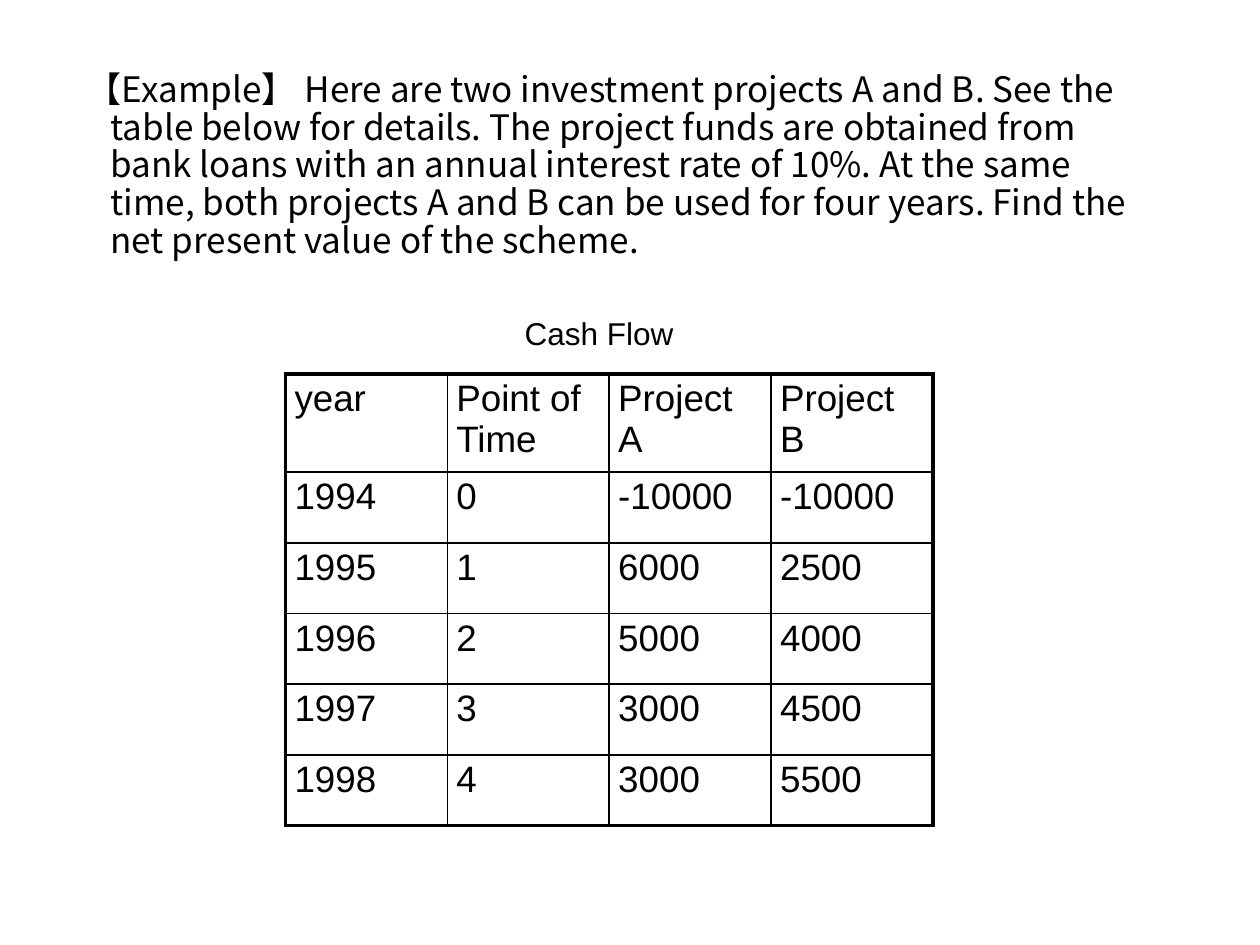
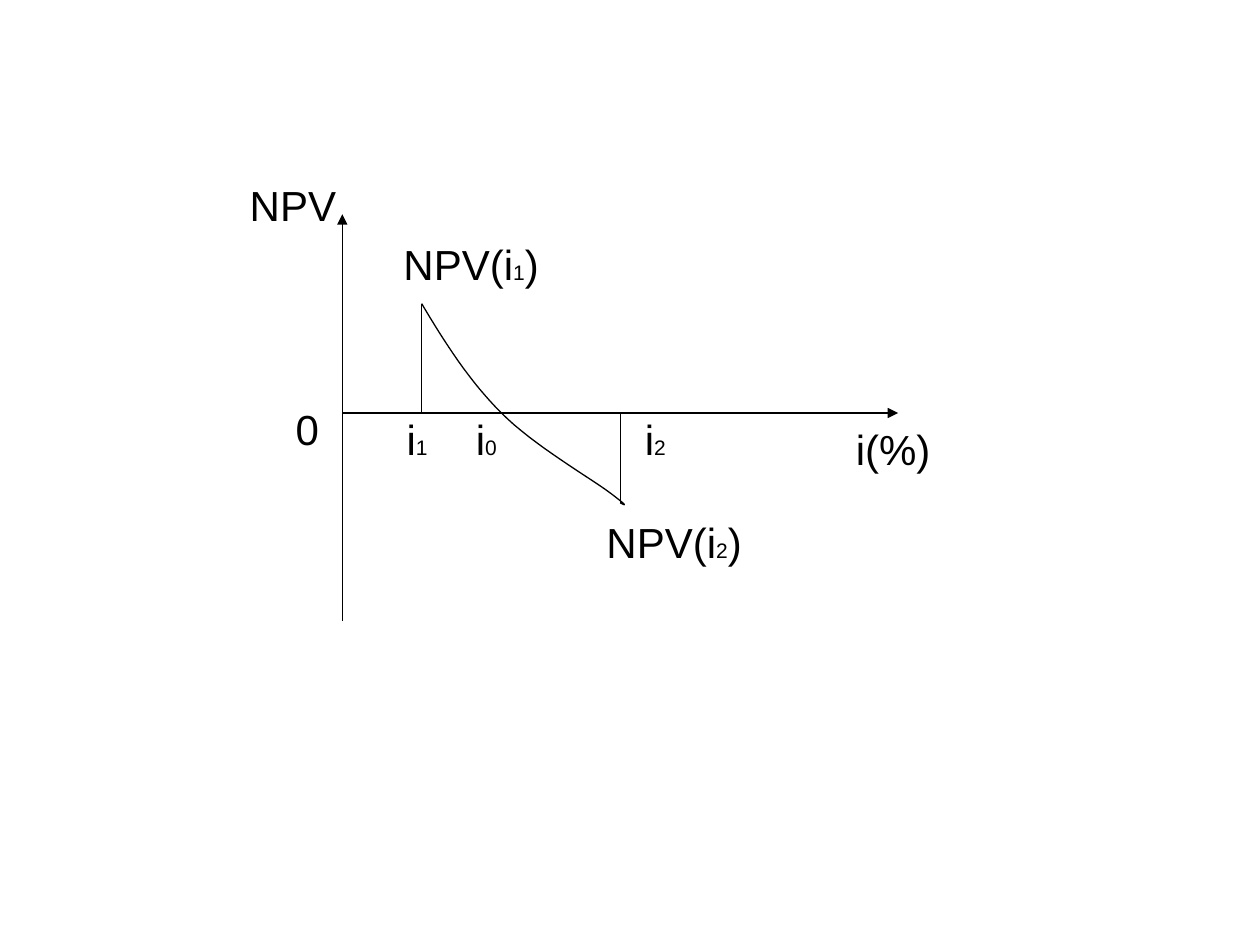
from lxml.etree import SubElement
from pptx import Presentation
from pptx.dml.color import RGBColor
from pptx.enum.shapes import MSO_CONNECTOR, MSO_SHAPE
from pptx.enum.text import MSO_ANCHOR, PP_ALIGN
from pptx.oxml.ns import qn
from pptx.util import Pt

INK = "000000"
SANS, BODY = "Arial", "Noto Sans CJK SC"

PROSE = (
    "【Example】 Here are two investment projects A and B. See the table below "
    "for details. The project funds are obtained from bank loans with an annual "
    "interest rate of 10%. At the same time, both projects A and B can be used "
    "for four years. Find the net present value of the scheme."
)
FLOWS = [
    ("year", "Point of Time", "Project A", "Project B"),
    ("1994", "0", "-10000", "-10000"),
    ("1995", "1", "6000", "2500"),
    ("1996", "2", "5000", "4000"),
    ("1997", "3", "3000", "4500"),
    ("1998", "4", "3000", "5500"),
]
HEAD, ROW, COL = 56, 40.4, 92.5

ZERO, BASE = 195.6, 236
LOW, HIGH = (241, 173.5), (354.4, 287.3)
AXES = [((ZERO, 355), (ZERO, 122.4)), ((ZERO, BASE), (513.2, BASE))]
DROPS = [(LOW, (LOW[0], BASE)), (HIGH, (HIGH[0], BASE))]
CURVE = [
    ((254.2, 195.8), (268.6, 218.2), (286.6, BASE)),
    ((304.6, 254.2), (337, 272.9), (348.5, 281.5)),
    ((360, 290.2), (357.1, 288.7), HIGH),
]
STEPS = 16
MARKS = [
    (("NPV",), (144.7, 105.8, 45.4, 22.3)),
    (("NPV(i", "1", ")"), (223.9, 139.7, 90.7, 22.3)),
    (("NPV(i", "2", ")"), (342.7, 298.1, 85, 22.3)),
    (("i", "1"), (229.7, 241.9, 17.3, 17.3)),
    (("i", "0"), (269.3, 241.9, 17.3, 17.3)),
    (("i", "2"), (365.8, 241.9, 17.3, 17.3)),
    (("i(%)",), (501.8, 247.7, 17.3, 17.3)),
    (("0",), (167, 236.2, 17.3, 17.3)),
]


def tint(color):
    return RGBColor.from_string(color)


def style(run, size, face=SANS):
    run.font.size = Pt(size)
    run.font.name = face
    run.font.color.rgb = tint(INK)
    props = run.font._element
    SubElement(props, qn("a:ea")).set("typeface", face)


def label(slide, parts, place, size):
    box = slide.shapes.add_shape(MSO_SHAPE.RECTANGLE, *map(Pt, place))
    box.shadow.inherit = False
    box.fill.background()
    box.line.fill.background()
    frame = box.text_frame
    frame.word_wrap = False
    frame.margin_left = frame.margin_right = 0
    frame.margin_top = frame.margin_bottom = 0
    frame.vertical_anchor = MSO_ANCHOR.MIDDLE
    para = frame.paragraphs[0]
    para.alignment = PP_ALIGN.CENTER
    for spot, part in enumerate(parts):
        run = para.add_run()
        run.text = part
        style(run, size / 2 if spot == 1 else size)


def prose(slide):
    box = slide.shapes.add_textbox(Pt(42.5), Pt(37.7), Pt(620.6), Pt(257))
    box.text_frame.word_wrap = True
    para = box.text_frame.paragraphs[0]
    para.text = PROSE
    para.line_spacing = 0.9
    props = para._p.get_or_add_pPr()
    props.set("marL", str(Pt(13.5)))
    props.set("indent", str(-Pt(13.5)))
    style(para.runs[0], 20, BODY)


def edge(cell, side, width):
    line = SubElement(cell._tc.get_or_add_tcPr(), qn("a:ln" + side), w=str(Pt(width)))
    fill = SubElement(line, qn("a:solidFill"))
    SubElement(fill, qn("a:srgbClr"), val=INK)


def grid(slide):
    rows, cols = len(FLOWS), len(FLOWS[0])
    tall = HEAD + ROW * (rows - 1)
    table = slide.shapes.add_table(
        rows, cols, Pt(163.1), Pt(213.8), Pt(COL * cols), Pt(tall)
    ).table
    table.first_row = table.horz_banding = False
    for col in table.columns:
        col.width = Pt(COL)
    for r, flow in enumerate(FLOWS):
        table.rows[r].height = Pt(ROW if r else HEAD)
        for c, value in enumerate(flow):
            cell = table.cell(r, c)
            cell.text = value
            cell.margin_left = cell.margin_right = Pt(5.2)
            cell.margin_top = cell.margin_bottom = Pt(2.6)
            style(cell.text_frame.paragraphs[0].runs[0], 21)
            outer = {"L": c == 0, "R": c == cols - 1, "T": r == 0, "B": r == rows - 1}
            for side, rim in outer.items():
                edge(cell, side, 2.25 if rim else 1)
            cell.fill.background()


def stroke(shape):
    shape.line.color.rgb = tint(INK)
    shape.line.width = Pt(0.75)


def rule(slide, start, end, arrow=False):
    line = slide.shapes.add_connector(
        MSO_CONNECTOR.STRAIGHT, *map(Pt, start + end)
    )
    stroke(line)
    if arrow:
        SubElement(line.line._get_or_add_ln(), qn("a:tailEnd"), type="triangle")
    SubElement(line._element.spPr, qn("a:effectLst"))


def bend(start, one, two, end, t):
    u = 1 - t
    return tuple(
        Pt(u**3 * a + 3 * u * u * t * b + 3 * u * t * t * c + t**3 * d)
        for a, b, c, d in zip(start, one, two, end)
    )


def curve(slide):
    points, start = [], LOW
    for one, two, end in CURVE:
        points += [bend(start, one, two, end, n / STEPS) for n in range(1, STEPS + 1)]
        start = end
    pen = slide.shapes.build_freeform(Pt(LOW[0]), Pt(LOW[1]))
    pen.add_line_segments(points, close=False)
    shape = pen.convert_to_shape()
    shape.shadow.inherit = False
    shape.fill.background()
    stroke(shape)


def main():
    deck = Presentation()
    deck.slide_width, deck.slide_height = Pt(720), Pt(540)
    blank = deck.slide_layouts[6]

    slide = deck.slides.add_slide(blank)
    prose(slide)
    grid(slide)
    label(slide, ("Cash Flow",), (229.7, 179.3, 225.4, 21.6), 18)

    slide = deck.slides.add_slide(blank)
    for start, end in AXES:
        rule(slide, start, end, arrow=True)
    for start, end in DROPS:
        rule(slide, start, end)
    curve(slide)
    for parts, place in MARKS:
        label(slide, parts, place, 24)

    deck.save("out.pptx")


if __name__ == "__main__":
    main()
